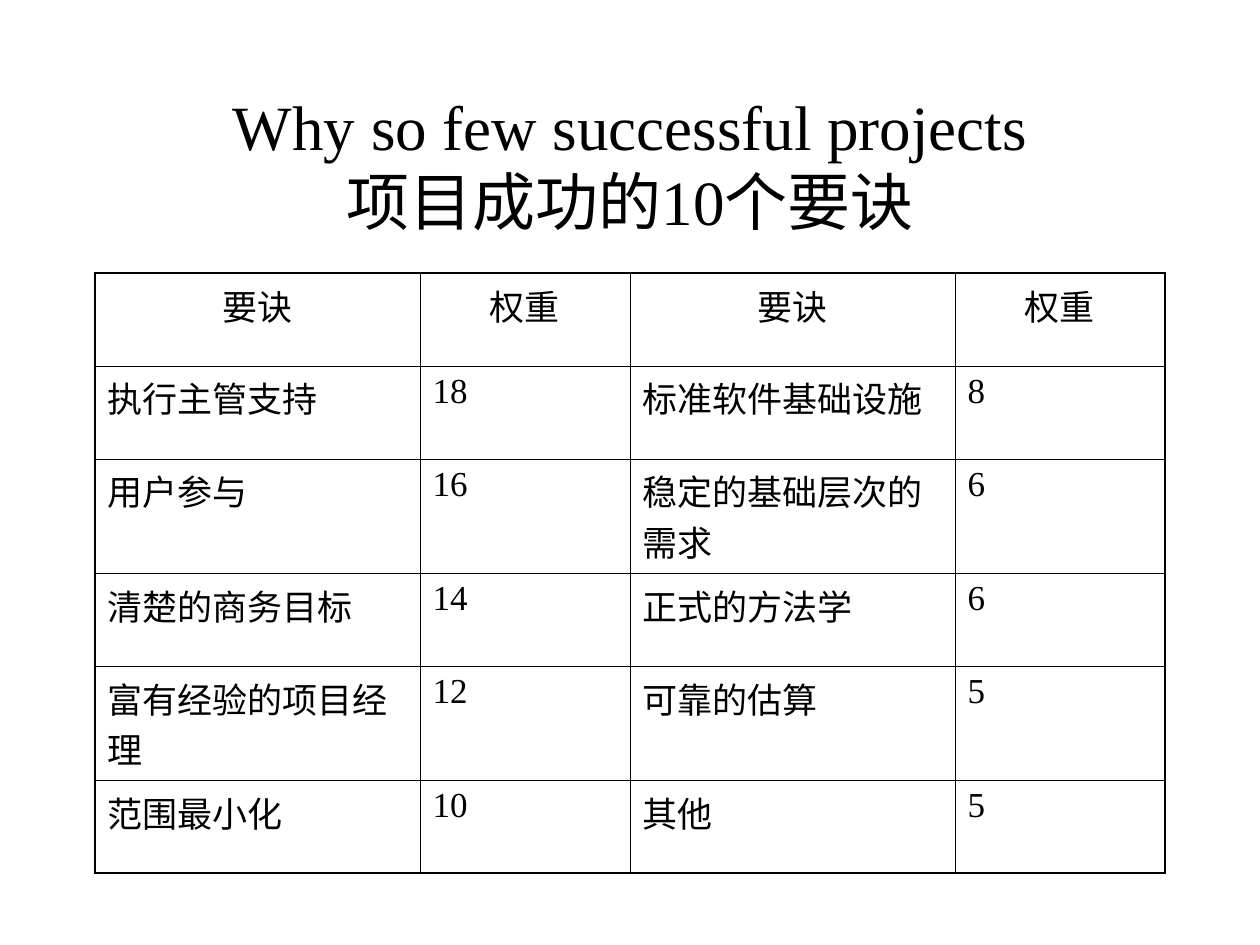
"""Build a slide with a title and a table of ten project success factors."""
from lxml import etree
from pptx import Presentation
from pptx.dml.color import RGBColor
from pptx.enum.text import MSO_ANCHOR, MSO_AUTO_SIZE, PP_ALIGN
from pptx.oxml.ns import qn
from pptx.util import Pt

CENTER, LEFT = PP_ALIGN.CENTER, PP_ALIGN.LEFT
MIDDLE, TOP = MSO_ANCHOR.MIDDLE, MSO_ANCHOR.TOP
FIXED = MSO_AUTO_SIZE.NONE
SCALE = 914400 / 126
FONT, INK, PAPER = "Times New Roman", "000000", "FFFFFF"
OUTER, INNER = 1.08, 0.45

TITLE = ["Why so few successful projects", "项目成功的10个要诀"]
HEAD = ["要诀", "权重"] * 2
ROWS = [
    ["执行主管支持", "18", "标准软件基础设施", "8"],
    ["用户参与", "16", "稳定的基础层次的需求", "6"],
    ["清楚的商务目标", "14", "正式的方法学", "6"],
    ["富有经验的项目经理", "12", "可靠的估算", "5"],
    ["范围最小化", "10", "其他", "5"],
]
WIDTHS = [325, 210, 325, 210]
HEIGHTS = [93, 93, 97, 93, 97, 93]


def px(n):
    return round(n * SCALE)


def color(code):
    return RGBColor.from_string(code)


def write(para, text, size):
    run = para.add_run()
    run.text = text
    run.font.size = Pt(size)
    run.font.name = FONT
    run.font.color.rgb = color(INK)


def border(cell, side, width):
    line = etree.SubElement(cell._tc.get_or_add_tcPr(), qn(f"a:ln{side}"),
                            w=str(Pt(width)))
    fill = etree.SubElement(line, qn("a:solidFill"))
    etree.SubElement(fill, qn("a:srgbClr"), val=INK)


def add_title(slide):
    title = slide.shapes.title
    title.left, title.top, title.width, title.height = map(px, (95, 84, 1070, 158))
    frame = title.text_frame
    frame.auto_size = FIXED
    frame.word_wrap = True
    frame.vertical_anchor = MIDDLE
    para = frame.paragraphs[0]
    para.alignment = CENTER
    para.line_spacing = 1.0
    for i, text in enumerate(TITLE):
        if i:
            para.add_line_break()
        write(para, text, 36)


def add_grid(slide):
    data = [HEAD] + ROWS
    last, end = len(data) - 1, len(HEAD) - 1
    box = map(px, (95, 273, sum(WIDTHS), sum(HEIGHTS)))
    table = slide.shapes.add_table(len(data), len(HEAD), *box).table
    table.first_row = table.horz_banding = False
    for col, width in zip(table.columns, WIDTHS):
        col.width = px(width)
    for row, height in zip(table.rows, HEIGHTS):
        row.height = px(height)
    for r, row in enumerate(data):
        for c, text in enumerate(row):
            cell = table.cell(r, c)
            edges = {"L": c == 0, "R": c == end, "T": r == 0, "B": r == last}
            for side, edge in edges.items():
                border(cell, side, OUTER if edge else INNER)
            cell.fill.background()
            cell.vertical_anchor = TOP
            para = cell.text_frame.paragraphs[0]
            para.alignment = LEFT if r else CENTER
            write(para, text, 20)


def main():
    deck = Presentation()
    deck.slide_width, deck.slide_height = px(1260), px(945)
    slide = deck.slides.add_slide(deck.slide_layouts[5])
    slide.background.fill.solid()
    slide.background.fill.fore_color.rgb = color(PAPER)
    add_title(slide)
    add_grid(slide)
    deck.save("out.pptx")


if __name__ == "__main__":
    main()
